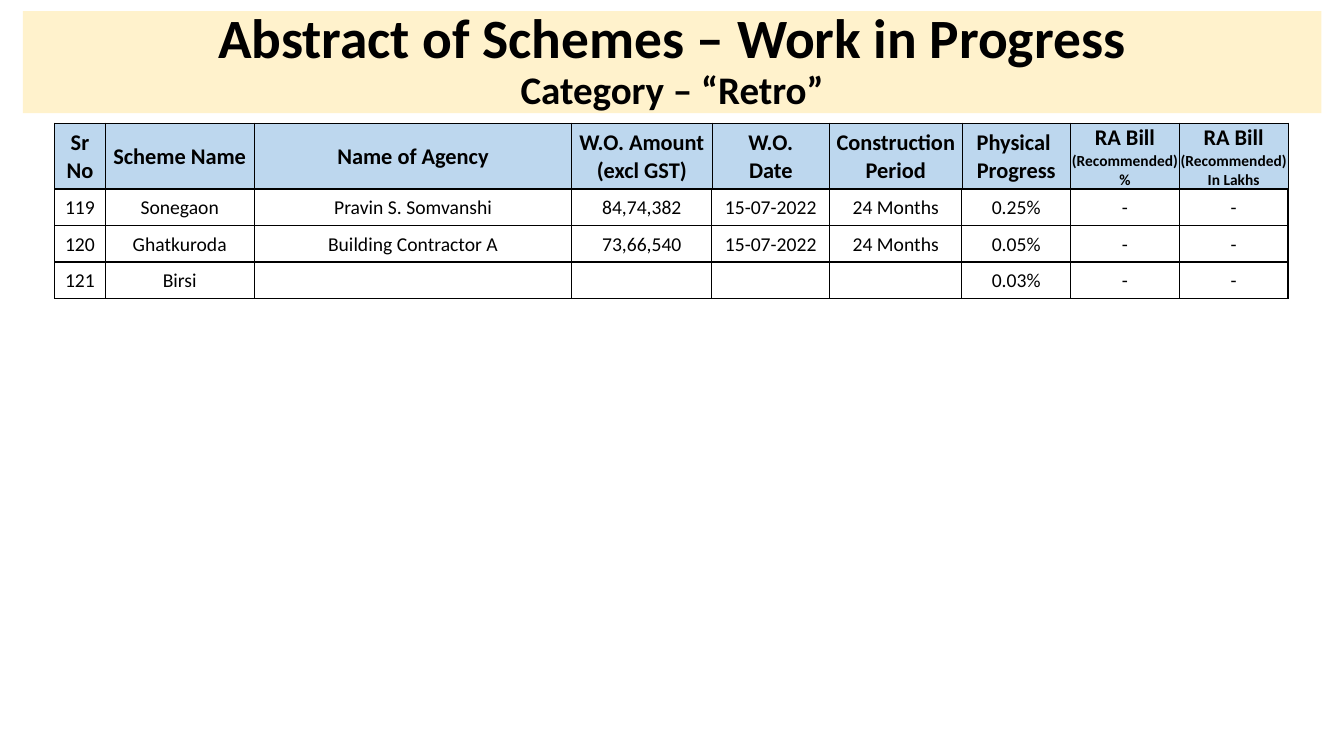
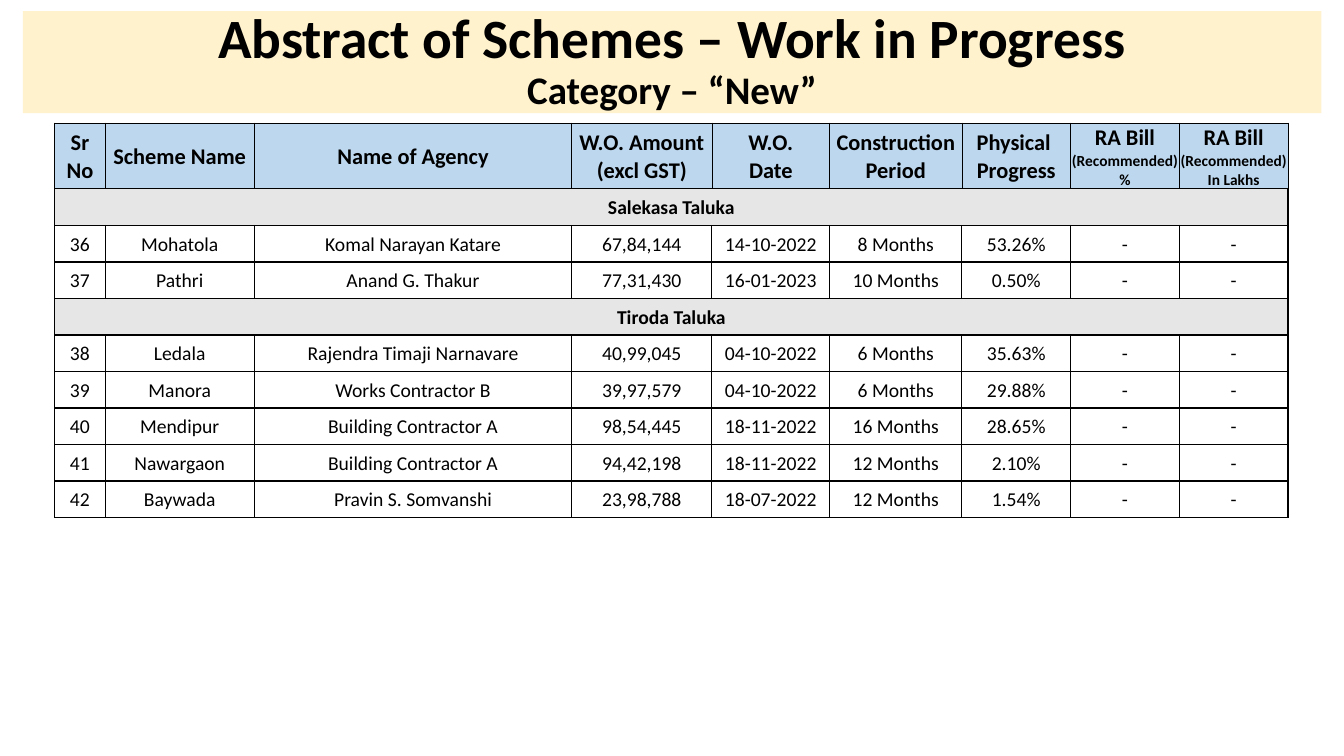
from dataclasses import astuple, dataclass
from typing import Optional

from pptx import Presentation
from pptx.dml.color import RGBColor
from pptx.enum.shapes import MSO_SHAPE
from pptx.enum.text import MSO_ANCHOR as ANCHOR, PP_ALIGN as ALIGN
from pptx.oxml.ns import qn
from pptx.slide import Slide
from pptx.table import Table, _Cell as Cell
from pptx.text.text import TextFrame
from pptx.util import Cm, Pt
from lxml.etree import SubElement

# Shared style
BLACK = RGBColor(0x00, 0x00, 0x00)
CREAM = RGBColor(0xFF, 0xF2, 0xCC)
BLUE = RGBColor(0xBD, 0xD7, 0xEE)
GREY = RGBColor(0xE7, 0xE6, 0xE6)
FONT = "Calibri"

# Shared layout, in centimetres
TABLE_LEFT = 1.38
HEADER_TOP, HEADER_HEIGHT = 3.1, 1.66
BODY_TOP, ROW_HEIGHT = 4.76, 0.92
COLUMNS = (1.27, 3.76, 8.0, 3.53, 2.97, 3.33, 2.74, 2.74, 2.74)


@dataclass(frozen=True)
class Line:
    text: str
    size: float = 16
    bold: bool = True
    new_paragraph: bool = True


@dataclass(frozen=True)
class Scheme:
    number: str
    name: str
    agency: str
    amount: str
    date: str
    period: str
    progress: str
    bill_percent: str = "-"
    bill_lakhs: str = "-"


@dataclass(frozen=True)
class Section:
    schemes: tuple[Scheme, ...]
    heading: Optional[str] = None


@dataclass(frozen=True)
class Page:
    category: str
    sections: tuple[Section, ...]


def ra_bill(unit: str) -> tuple[Line, ...]:
    return Line("RA Bill"), Line("(Recommended)", 11), Line(unit, 11)


def broken(first: str, second: str) -> tuple[Line, ...]:
    return Line(first), Line(second, new_paragraph=False)


HEADERS = (
    (Line("Sr No"),),
    (Line("Scheme Name"),),
    (Line("Name of Agency"),),
    broken("W.O. Amount", "(excl GST)"),
    broken("W.O.", "Date"),
    broken("Construction", "Period"),
    (Line("Physical "), Line("Progress")),
    ra_bill("%"),
    ra_bill("In Lakhs"),
)

PAGES = (
    Page("Retro", (
        Section((
            Scheme("119", "Sonegaon", "Pravin S. Somvanshi", "84,74,382", "15-07-2022", "24 Months", "0.25%"),
            Scheme("120", "Ghatkuroda", "Building Contractor A", "73,66,540", "15-07-2022", "24 Months", "0.05%"),
            Scheme("121", "Birsi", "", "", "", "", "0.03%"),
        )),
    )),
    Page("New", (
        Section((
            Scheme("36", "Mohatola", "Komal Narayan Katare", "67,84,144", "14-10-2022", "8 Months", "53.26%"),
            Scheme("37", "Pathri", "Anand G. Thakur", "77,31,430", "16-01-2023", "10 Months", "0.50%"),
        ), "Salekasa Taluka"),
        Section((
            Scheme("38", "Ledala", "Rajendra Timaji Narnavare", "40,99,045", "04-10-2022", "6 Months", "35.63%"),
            Scheme("39", "Manora", "Works Contractor B", "39,97,579", "04-10-2022", "6 Months", "29.88%"),
            Scheme("40", "Mendipur", "Building Contractor A", "98,54,445", "18-11-2022", "16 Months", "28.65%"),
            Scheme("41", "Nawargaon", "Building Contractor A", "94,42,198", "18-11-2022", "12 Months", "2.10%"),
            Scheme("42", "Baywada", "Pravin S. Somvanshi", "23,98,788", "18-07-2022", "12 Months", "1.54%"),
        ), "Tiroda Taluka"),
    )),
)


# Text
def write(tf: TextFrame, lines: tuple[Line, ...], spacing: float = 1.0) -> None:
    p = tf.paragraphs[0]
    for i, line in enumerate(lines):
        if i and line.new_paragraph:
            p = tf.add_paragraph()
        elif i:
            p.add_line_break()
        p.alignment = ALIGN.CENTER
        p.line_spacing = spacing
        r = p.add_run()
        r.text = line.text
        r.font.name = FONT
        r.font.size = Pt(line.size)
        r.font.bold = line.bold
        r.font.color.rgb = BLACK


# Title band
def add_title(s: Slide, category: str) -> None:
    sp = s.shapes.add_shape(MSO_SHAPE.RECTANGLE, Cm(0.58), Cm(0.28), Cm(32.72), Cm(2.57))
    sp.shadow.inherit = False
    sp.fill.solid()
    sp.fill.fore_color.rgb = CREAM
    sp.line.fill.background()
    tf = sp.text_frame
    tf.word_wrap = True
    tf.vertical_anchor = ANCHOR.MIDDLE
    tf.margin_top = tf.margin_bottom = 0
    write(tf, (
        Line("Abstract of Schemes – Work in Progress", 39.6),
        Line(f"Category – “{category}”", 27.9, new_paragraph=False),
    ), 0.9)


# Tables
def add_grid(s: Slide, top: float, rows: int, height: float) -> Table:
    frame = s.shapes.add_table(rows, len(COLUMNS), Cm(TABLE_LEFT), Cm(top),
                               Cm(sum(COLUMNS)), Cm(rows * height))
    table = frame.table
    table.first_row = table.horz_banding = False
    for column, width in zip(table.columns, COLUMNS):
        column.width = Cm(width)
    for row in table.rows:
        row.height = Cm(height)
    return table


def style_cell(cell: Cell, lines: tuple[Line, ...], border: float,
               fill: Optional[RGBColor] = None) -> None:
    cell.vertical_anchor = ANCHOR.MIDDLE
    cell.margin_left = cell.margin_right = cell.margin_top = Cm(0.03)
    cell.margin_bottom = 0
    tc_pr = cell._tc.get_or_add_tcPr()
    for side in ("a:lnL", "a:lnR", "a:lnT", "a:lnB"):
        ln = SubElement(tc_pr, qn(side), w=str(Pt(border)))
        SubElement(SubElement(ln, qn("a:solidFill")), qn("a:srgbClr"), val=str(BLACK))
    if fill is None:
        cell.fill.background()
    else:
        cell.fill.solid()
        cell.fill.fore_color.rgb = fill
    write(cell.text_frame, lines)


def add_header(s: Slide) -> None:
    table = add_grid(s, HEADER_TOP, 1, HEADER_HEIGHT)
    for cell, lines in zip(table.rows[0].cells, HEADERS):
        style_cell(cell, lines, 0.5, BLUE)


def add_schemes(s: Slide, sections: tuple[Section, ...]) -> None:
    rows: list[Scheme | str] = []
    for section in sections:
        if section.heading:
            rows.append(section.heading)
        rows.extend(section.schemes)

    table = add_grid(s, BODY_TOP, len(rows), ROW_HEIGHT)
    for i, row in enumerate(rows):
        cells = list(table.rows[i].cells)
        if isinstance(row, str):
            cells[0].merge(cells[-1])
            for j, cell in enumerate(cells):
                style_cell(cell, () if j else (Line(row, 14),), 1, GREY)
        else:
            for cell, value in zip(cells, astuple(row)):
                style_cell(cell, (Line(value, 14, False),) if value else (), 1)


def main() -> None:
    prs = Presentation()
    prs.slide_width, prs.slide_height = Cm(33.87), Cm(19.05)
    for page in PAGES:
        s = prs.slides.add_slide(prs.slide_layouts[6])
        add_title(s, page.category)
        add_header(s)
        add_schemes(s, page.sections)
    prs.save("out.pptx")


if __name__ == "__main__":
    main()
